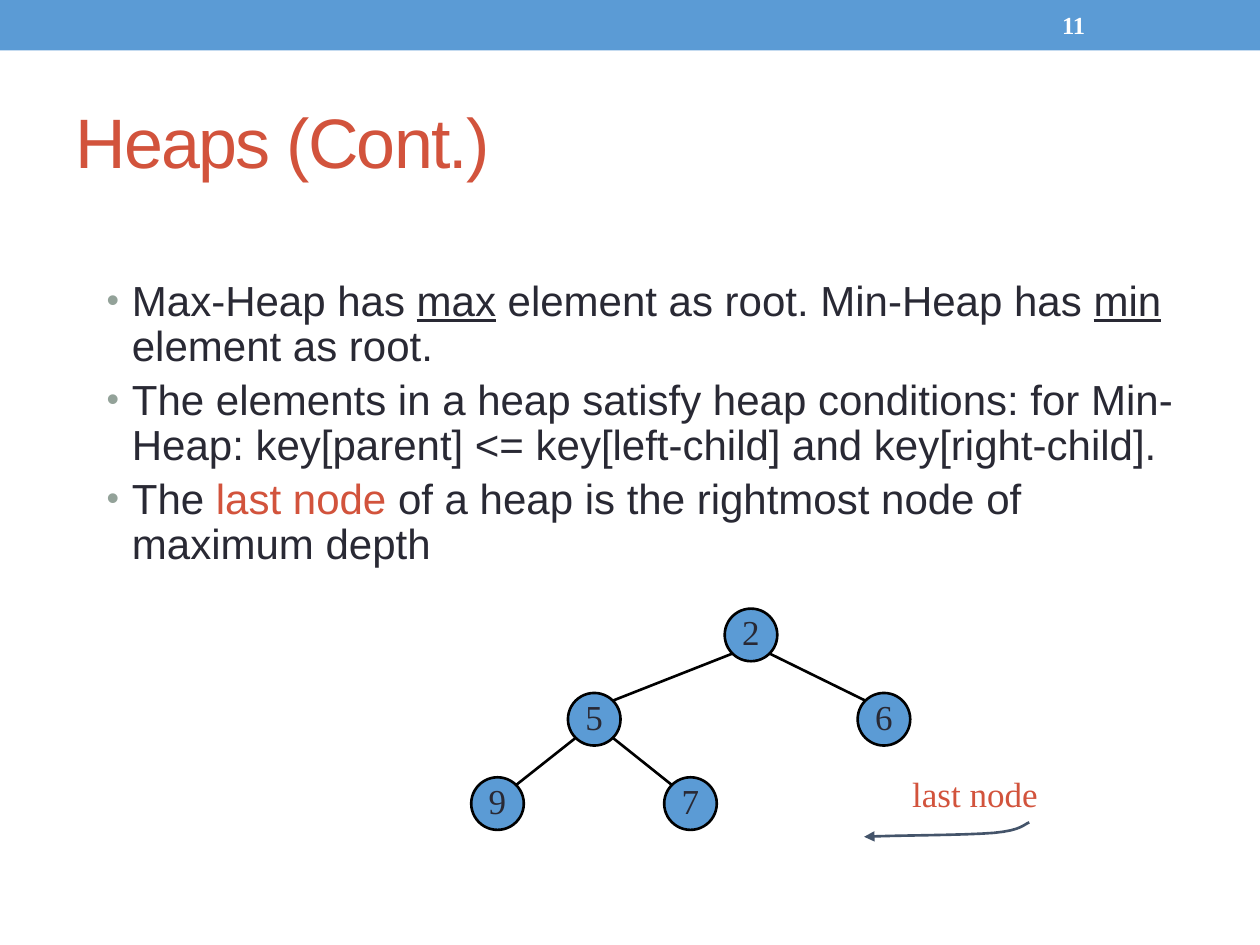
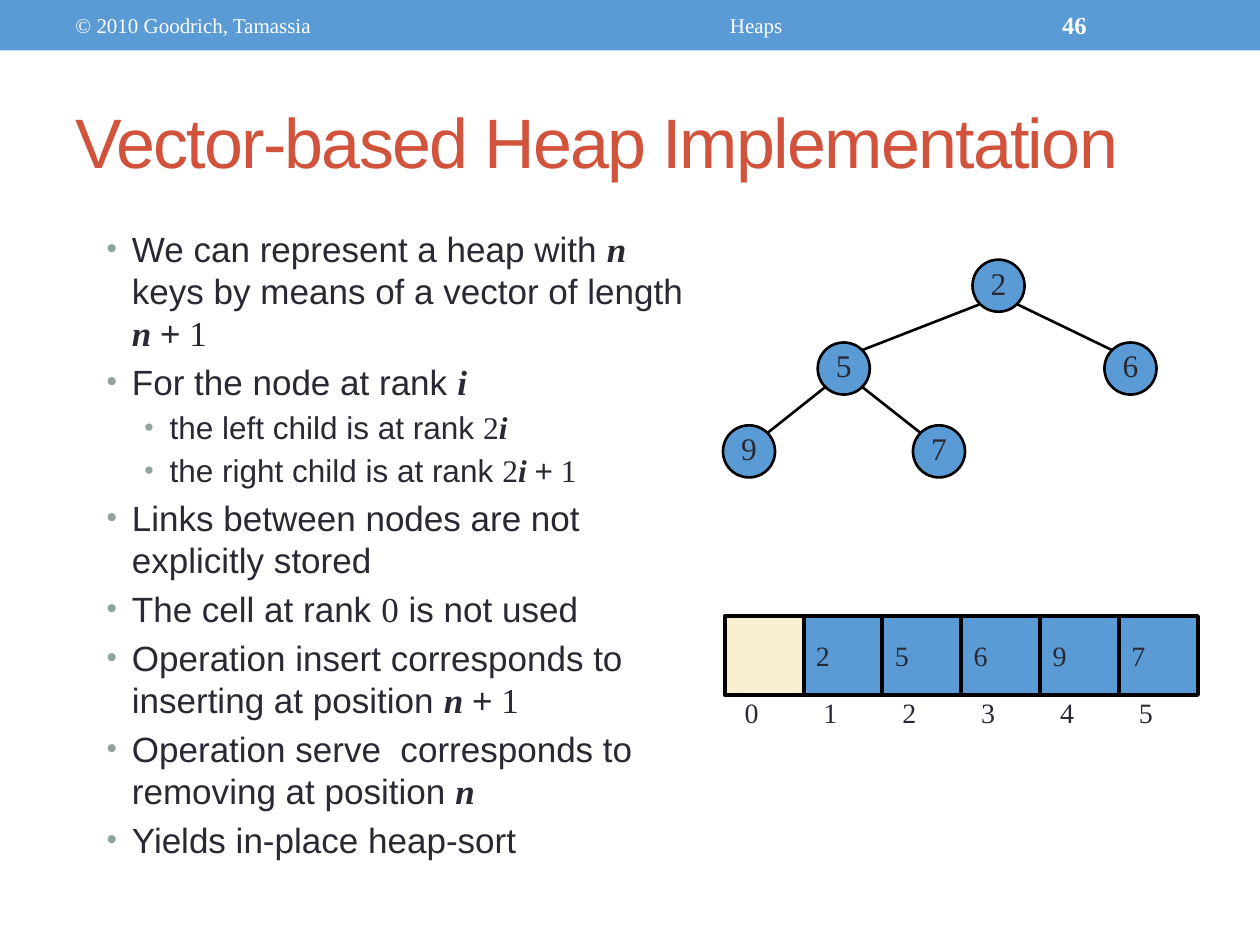
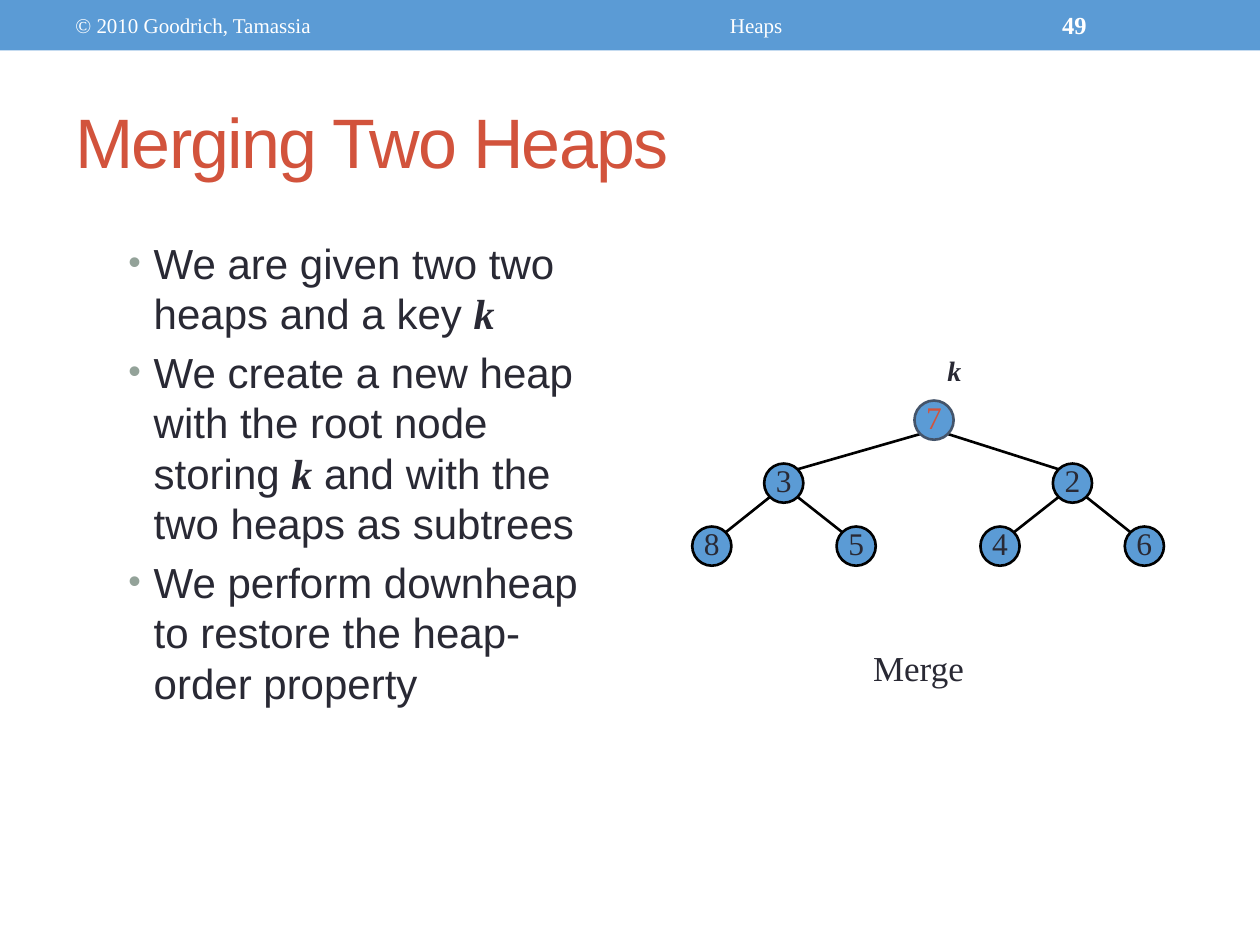
"""Build three slides on heaps: definition, vector storage and merging."""
from lxml import etree
from pptx import Presentation, util as u
from pptx.dml.color import RGBColor
from pptx.enum import shapes, text
from pptx.oxml import ns

COLOURS = {"blue": "5B9BD5", "red": "D2533C", "ink": "292934", "bullet": "93A299",
           "white": "FFFFFF", "black": "000000", "slate": "44546A", "cream": "F8F0D0"}
SANS, SERIF = "Arial", "Times New Roman"
STYLES = {
    "title": {"name": SANS, "size": 40, "colour": "red"},
    "body": {"name": SANS, "colour": "ink"},
    "under": {"underline": True},
    "accent": {"colour": "red"},
    "variable": {"name": SERIF, "bold": True, "italic": True},
    "number": {"name": SERIF},
    "label": {"name": SERIF, "colour": "ink"},
    "footer": {"name": SERIF, "size": 12, "colour": "white"},
    "page": {"name": SERIF, "size": 14, "colour": "white", "bold": True},
}
BAND = (0, 0, 25.4, 1.02)
TITLE = (1.27, 1.47, 22.86, 2.74)
CREDIT, TOPIC, PAGE = (1.27, 0.05, 8.05, 0.91), (9.53, 0.05, 11.43, 0.91), (21.16, 0.05, 2.97, 0.91)
LEVELS = {0: (0.51, 0.2), 1: (1.27, 0.18)}

SLIDES = [
    {"title": "Heaps (Cont.)", "page": "11",
     "body": {"box": (1.9, 5.51, 22.23, 11.43), "sizes": (24,), "spacing": 0.9, "items": [
         (0, ["Max-Heap has ", ("max", "under"), " element as root. Min-Heap has ",
              ("min", "under"), " element as root."]),
         (0, ["The elements in a heap satisfy heap conditions: for Min-Heap: "
              "key[parent] <= key[left-child] and key[right-child]."]),
         (0, ["The", (" last node", "accent"), " of a heap is the rightmost node of maximum depth"]),
     ]},
     "tree": {"top": 12.8, "gap": 1.7, "diameter": 1.06, "size": 20,
              "nodes": [("2", 15.14), ("5", 11.98), ("6", 17.82), ("9", 10.03), ("7", 13.92)]},
     "labels": [("last node", (18.14, 15.44, 3.05, 1.09), {"size": 20, "colour": "red"})],
     "arrow": [[(20.75, 16.58), (20.65, 16.61), (20.6, 16.74), (20.04, 16.79)],
               [(20.04, 16.79), (19.48, 16.84), (17.98, 16.84), (17.42, 16.87)]]},
    {"title": "Vector-based Heap Implementation", "page": "46",
     "credit": "© 2010 Goodrich, Tamassia", "topic": "Heaps",
     "body": {"box": (1.9, 4.45, 12.27, 13.54), "sizes": (20, 18), "items": [
         (0, ["We can represent a heap with ", ("n", "variable"),
              " keys by means of a vector of length ", ("n ", "variable"), "+", (" 1", "number")]),
         (0, ["For the node at rank ", ("i", "variable")]),
         (1, ["the left child is at rank ", ("2", "number"), ("i", "variable")]),
         (1, ["the right child is at rank ", ("2", "number"), ("i ", "variable"), "+", (" 1", "number")]),
         (0, ["Links between nodes are not explicitly stored"]),
         (0, ["The cell at rank ", ("0", "number"), " is not used"]),
         (0, ["Operation insert corresponds to inserting at position ",
              ("n ", "variable"), "+", (" 1", "number")]),
         (0, ["Operation serve  corresponds to removing at position ", ("n", "variable")]),
         (0, ["Yields in-place heap-sort"]),
     ]},
     "tree": {"top": 5.76, "gap": 1.67, "diameter": 1.05, "size": 18,
              "nodes": [("2", 20.13), ("5", 17.01), ("6", 22.79), ("9", 15.1), ("7", 18.93)]},
     "vector": {"left": 14.61, "top": 12.42, "cell": 1.59, "keys": ["", "2", "5", "6", "9", "7"]}},
    {"title": "Merging Two Heaps", "page": "49",
     "credit": "© 2010 Goodrich, Tamassia", "topic": "Heaps",
     "body": {"box": (2.34, 4.65, 10.16, 11.43), "sizes": (24,), "items": [
         (0, ["We are given two two heaps and a key ", ("k", "variable")]),
         (0, ["We create a new heap with the root node storing ", ("k", "variable"),
              " and with the two heaps as subtrees"]),
         (0, ["We perform downheap to restore the heap-order property "]),
     ]},
     "tree": {"top": 8.47, "gap": 1.27, "diameter": 0.79, "size": 18, "new_root": True,
              "nodes": [("7", 18.83), ("3", 15.8), ("2", 21.62), ("8", 14.35), ("5", 17.26),
                        ("4", 20.16), ("6", 23.07)]},
     "labels": [("k", (18.85, 6.99, 0.79, 0.91), {"size": 16, "bold": True, "italic": True}),
                ("Merge", (17.35, 12.9, 2.34, 1.09), {"size": 20})]},
]


def colour(name):
    return RGBColor.from_string(COLOURS[name])


def lengths(values):
    return [u.Cm(value) for value in values]


def assign(target, values):
    for name, value in values.items():
        setattr(target, name, value)


def add_run(paragraph, words, style):
    run = paragraph.add_run()
    run.text = words
    values = dict(style)
    run.font.color.rgb = colour(values.pop("colour"))
    values["size"] = u.Pt(values["size"])
    assign(run.font, values)
    return run


def set_frame(shape, insets=(0.25, 0.13, 0.25, 0.13), wrap=True, anchor="TOP"):
    frame = shape.text_frame
    sides = ("margin_left", "margin_top", "margin_right", "margin_bottom")
    assign(frame, dict(zip(sides, lengths(insets))))
    assign(frame, {"word_wrap": wrap, "vertical_anchor": text.MSO_ANCHOR[anchor]})
    return frame.paragraphs[0]


def add_text(slide, words, box, style, align="LEFT", **frame):
    shape = slide.shapes.add_textbox(*lengths(box))
    paragraph = set_frame(shape, **frame)
    paragraph.alignment = text.PP_ALIGN[align]
    return add_run(paragraph, words, style)


def add_shape(slide, kind, box, fill, line=None, width=1.5):
    shape = slide.shapes.add_shape(shapes.MSO_SHAPE[kind], *lengths(box))
    shape.shadow.inherit = False
    shape.fill.solid()
    shape.fill.fore_color.rgb = colour(fill)
    if line:
        shape.line.color.rgb = colour(line)
        shape.line.width = u.Pt(width)
    else:
        shape.line.fill.background()
    return shape


def add_frame(slide, content):
    add_shape(slide, "RECTANGLE", BAND, "blue")
    run = add_text(slide, content["title"], TITLE, STYLES["title"], anchor="MIDDLE")
    run.font._element.set("spc", "-100")
    for part, box, style, align in (("credit", CREDIT, "footer", "LEFT"),
                                    ("topic", TOPIC, "footer", "CENTER"),
                                    ("page", PAGE, "page", "LEFT")):
        if part in content:
            add_text(slide, content[part], box, STYLES[style], align, anchor="MIDDLE")


def add_bullet(paragraph, level):
    indent, hanging = LEVELS[level][0], 0.51
    properties = paragraph._p.get_or_add_pPr()
    properties.set("marL", str(u.Cm(indent)))
    properties.set("indent", str(-u.Cm(hanging)))
    tint = etree.SubElement(properties, ns.qn("a:buClr"))
    etree.SubElement(tint, ns.qn("a:srgbClr"), val=COLOURS["bullet"])
    etree.SubElement(properties, ns.qn("a:buSzPct"), val="85000")
    etree.SubElement(properties, ns.qn("a:buFont"), typeface=SANS)
    etree.SubElement(properties, ns.qn("a:buChar"), char="•")


def add_body(slide, box, sizes, items, spacing=1.0):
    shape = slide.shapes.add_textbox(*lengths(box))
    paragraph = set_frame(shape)
    for position, (level, pieces) in enumerate(items):
        if position:
            paragraph = shape.text_frame.add_paragraph()
        size = sizes[level]
        assign(paragraph, {"level": level, "line_spacing": spacing,
                           "space_before": u.Pt(size * LEVELS[level][1])})
        add_bullet(paragraph, level)
        for piece in pieces:
            words, style = (piece, "body") if isinstance(piece, str) else piece
            add_run(paragraph, words, {**STYLES["body"], **STYLES[style], "size": size})


def add_edge(slide, parent, child, offset):
    side = 1 if child[0] > parent[0] else -1
    ends = (parent[0] + side * offset, parent[1] + offset,
            child[0] - side * offset, child[1] - offset)
    edge = slide.shapes.add_connector(shapes.MSO_CONNECTOR.STRAIGHT, *lengths(ends))
    edge.line.color.rgb = colour("black")
    edge.line.width = u.Pt(1.5)
    etree.SubElement(edge._element.spPr, ns.qn("a:effectLst"))


def add_tree(slide, top, gap, diameter, size, nodes, new_root=False):
    centres = [(x, top + gap * ((rank + 1).bit_length() - 1)) for rank, (_, x) in enumerate(nodes)]
    radius = diameter / 2
    for rank in range(1, len(nodes)):
        add_edge(slide, centres[(rank - 1) // 2], centres[rank], radius * 0.71)
    for rank, ((key, _), (x, y)) in enumerate(zip(nodes, centres)):
        marked = new_root and rank == 0
        node = add_shape(slide, "OVAL", (x - radius, y - radius, diameter, diameter),
                         "blue", "slate" if marked else "black")
        paragraph = set_frame(node, (0, 0, 0, 0.13), False, "MIDDLE")
        paragraph.alignment = text.PP_ALIGN.CENTER
        style = {**STYLES["label"], "size": size, "colour": "red" if marked else "ink"}
        add_run(paragraph, key, style)


def add_vector(slide, left, top, cell, keys):
    style = {**STYLES["label"], "size": 16}
    for rank, key in enumerate(keys):
        x = left + rank * cell
        square = add_shape(slide, "RECTANGLE", (x, top, cell, cell),
                           "blue" if key else "cream", "black", 2.25)
        if key:
            paragraph = set_frame(square, anchor="MIDDLE")
            paragraph.alignment = text.PP_ALIGN.LEFT
            add_run(paragraph, key, style)
        add_text(slide, str(rank), (x + 0.4, top + cell + 0.01, 0.76, 0.69), style,
                 insets=(0, 0, 0, 0))


def curve_point(controls, t):
    weights = ((1 - t) ** 3, 3 * t * (1 - t) ** 2, 3 * t * t * (1 - t), t ** 3)
    return tuple(u.Cm(sum(w * point[axis] for w, point in zip(weights, controls)))
                 for axis in (0, 1))


def add_arrow(slide, curves, steps=8):
    points = [curve_point(controls, step / steps) for controls in curves
              for step in range(1, steps + 1)]
    builder = slide.shapes.build_freeform(*curve_point(curves[0], 0))
    builder.add_line_segments(points, close=False)
    arrow = builder.convert_to_shape()
    arrow.shadow.inherit = False
    arrow.fill.background()
    arrow.line.color.rgb = colour("slate")
    arrow.line.width = u.Pt(1.5)
    etree.SubElement(arrow.line._get_or_add_ln(), ns.qn("a:tailEnd"), type="triangle")


presentation = Presentation()
assign(presentation, {"slide_width": u.Cm(25.4), "slide_height": u.Cm(19.05)})
for content in SLIDES:
    slide = presentation.slides.add_slide(presentation.slide_layouts[6])
    add_frame(slide, content)
    add_body(slide, **content["body"])
    add_tree(slide, **content["tree"])
    if "vector" in content:
        add_vector(slide, **content["vector"])
    for words, box, style in content.get("labels", []):
        add_text(slide, words, box, {**STYLES["label"], **style}, wrap=False)
    if "arrow" in content:
        add_arrow(slide, content["arrow"])
presentation.save("out.pptx")
